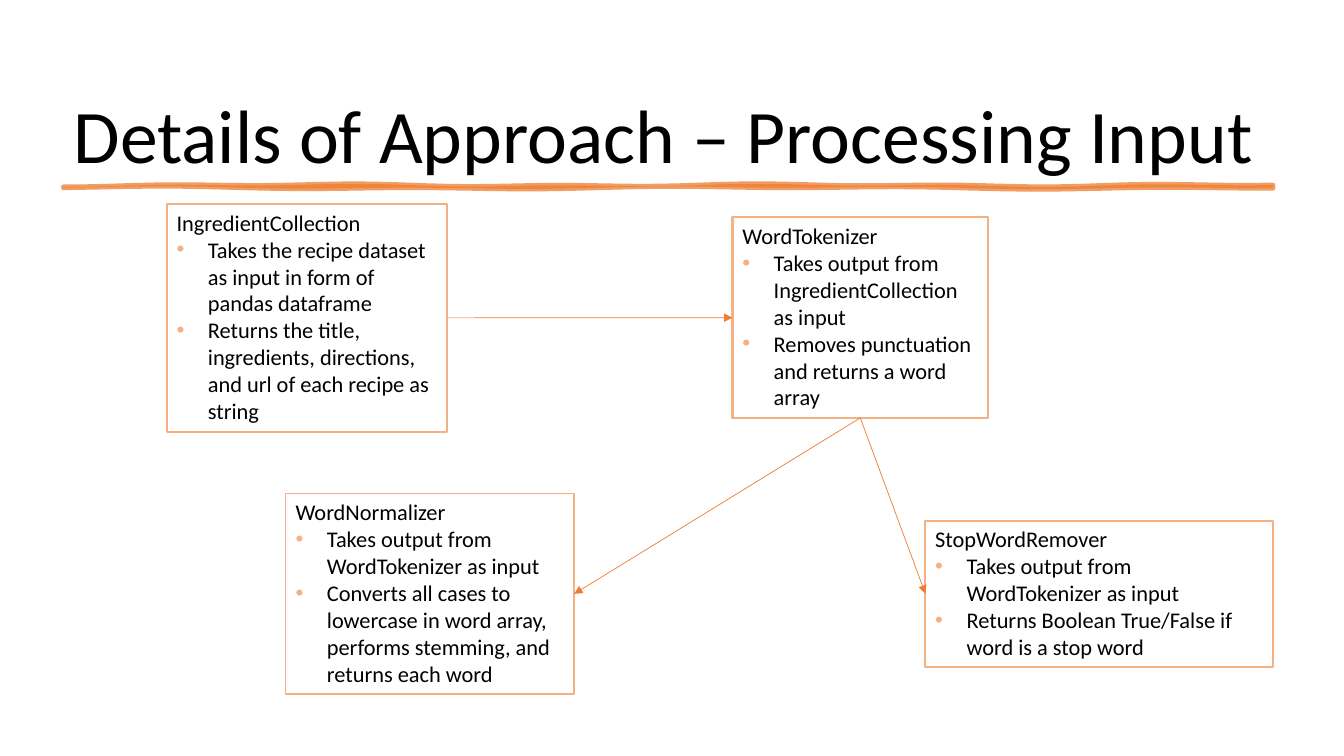
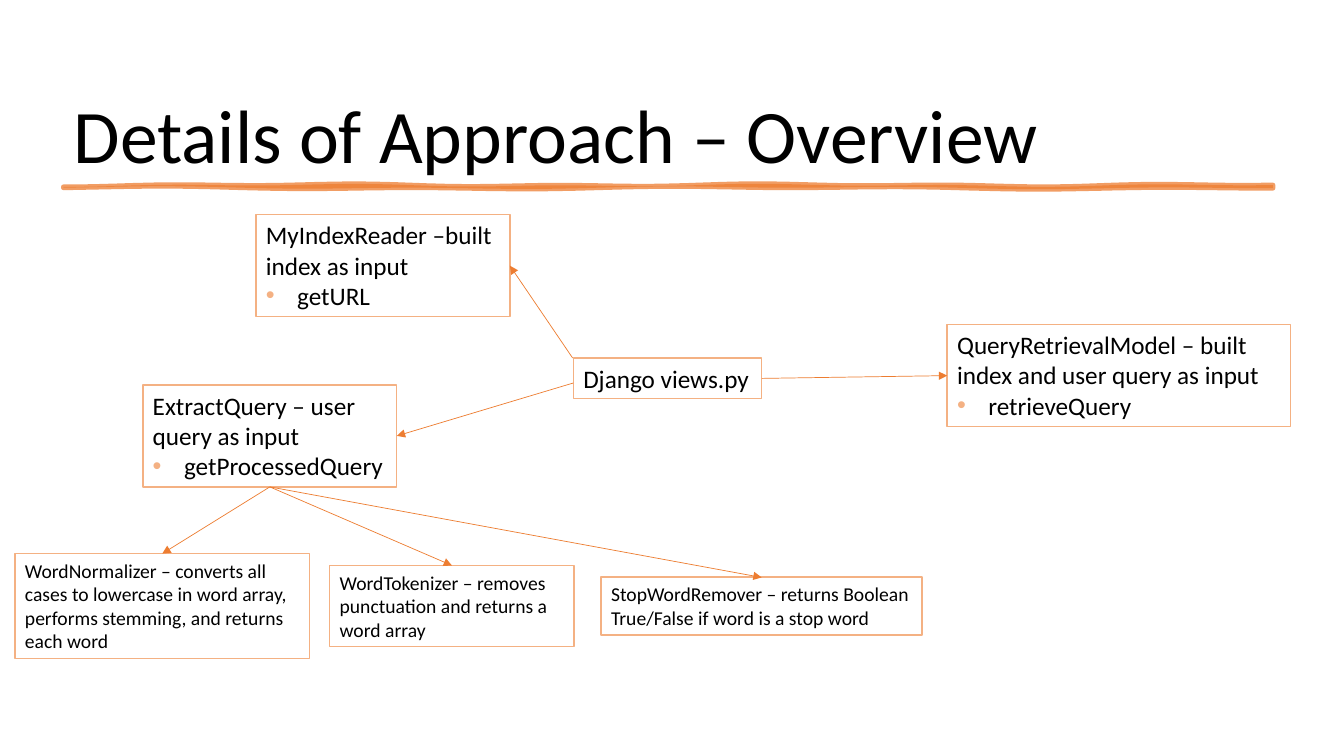
from dataclasses import dataclass
from math import sin

from lxml.etree import SubElement
from pptx import Presentation
from pptx.dml.color import RGBColor
from pptx.enum.shapes import MSO_CONNECTOR as Connector
from pptx.enum.text import MSO_ANCHOR as Anchor, MSO_AUTO_SIZE as AutoSize, PP_ALIGN as Align
from pptx.oxml.ns import qn
from pptx.util import Cm, Pt

TOP, LEFT, BOTTOM, RIGHT = range(4)
TITLE_ONLY = 5


@dataclass(frozen=True)
class Theme:
    font: str = "Calibri"
    text: RGBColor = RGBColor(0, 0, 0)
    accent: RGBColor = RGBColor(0xED, 0x7D, 0x31)
    border: RGBColor = RGBColor(0xF4, 0xB1, 0x83)
    title_size: int = 54
    large: int = 18
    medium: int = 16
    small: int = 14
    thin: float = 1
    thick: float = 1.5
    arrow: float = 0.5
    brush: float = 3.5
    brush_opacity: int = 75


THEME = Theme()


def style_font(paragraph, size):
    paragraph.font.name = THEME.font
    paragraph.font.size = Pt(size)
    paragraph.font.color.rgb = THEME.text


def style_line(line, color, width):
    line.color.rgb = color
    line.width = Pt(width)


def add_title(slide, text):
    title = slide.shapes.title
    title.left, title.top, title.width, title.height = Cm(1.6), Cm(0.66), Cm(30.61), Cm(3.99)
    frame = title.text_frame
    frame.text = text
    frame.word_wrap = True
    frame.auto_size = AutoSize.NONE
    frame.vertical_anchor = Anchor.BOTTOM
    paragraph = frame.paragraphs[0]
    paragraph.alignment = Align.LEFT
    paragraph.line_spacing = 0.9
    paragraph.space_after = Pt(6)
    style_font(paragraph, THEME.title_size)


def add_brush_stroke(slide):
    """Draw the wavy, half-transparent rule under the title."""
    left, width, steps = 1.6, 30.48, 120
    across = [left + width * step / steps for step in range(steps + 1)]
    upper = [(x, 4.67 + 0.04 * sin(0.9 * x) * sin(0.37 * x + 1)) for x in across]
    lower = [(x, 4.73 + 0.04 * sin(0.7 * x + 2) * sin(0.31 * x)) for x in reversed(across)]
    outline = [(Cm(x), Cm(y)) for x, y in upper + lower]
    builder = slide.shapes.build_freeform(*outline[0])
    builder.add_line_segments(outline[1:], close=True)
    stroke = builder.convert_to_shape()
    stroke.shadow.inherit = False
    stroke.fill.solid()
    stroke.fill.fore_color.rgb = THEME.accent
    style_line(stroke.line, THEME.accent, THEME.brush)
    properties = stroke.element.spPr
    for color in list(properties.iter(qn("a:srgbClr"))):
        SubElement(color, qn("a:alpha"), val=str(THEME.brush_opacity * 1000))
    SubElement(properties.find(qn("a:ln")), qn("a:round"))


def add_bullet(paragraph):
    properties = paragraph._p.get_or_add_pPr()
    indent = Cm(0.79)
    properties.set("marL", str(indent))
    properties.set("indent", str(-indent))
    color = SubElement(properties, qn("a:buClr"))
    SubElement(color, qn("a:srgbClr"), val=str(THEME.border))
    SubElement(properties, qn("a:buFont"), typeface="Arial")
    SubElement(properties, qn("a:buChar"), char="•")


def add_box(slide, place, size, heading, bullets=(), border=THEME.thin):
    """Add an outlined box; place is left, top, width and height in cm."""
    box = slide.shapes.add_textbox(*map(Cm, place))
    style_line(box.line, THEME.border, border)
    frame = box.text_frame
    frame.word_wrap = True
    frame.auto_size = AutoSize.SHAPE_TO_FIT_TEXT
    frame.text = "\n".join([heading, *bullets])
    for index, paragraph in enumerate(frame.paragraphs):
        if index:
            add_bullet(paragraph)
        style_font(paragraph, size)
    return box


def add_arrow(slide, target, target_side, source=None, source_side=None, start=(0, 0)):
    """Point at a side of target, from a side of source or from a start in cm."""
    x, y = map(Cm, start)
    arrow = slide.shapes.add_connector(Connector.STRAIGHT, x, y, x, y)
    if source is not None:
        arrow.begin_connect(source, source_side)
    arrow.end_connect(target, target_side)
    style_line(arrow.line, THEME.accent, THEME.arrow)
    properties = arrow.element.spPr
    SubElement(properties.find(qn("a:ln")), qn("a:tailEnd"), type="triangle")
    SubElement(properties, qn("a:effectLst"))


def add_slide(presentation, title):
    slide = presentation.slides.add_slide(presentation.slide_layouts[TITLE_ONLY])
    add_title(slide, title)
    add_brush_stroke(slide)
    return slide


def build_processing_slide(presentation):
    slide = add_slide(presentation, "Details of Approach – Processing Input")
    collection = add_box(
        slide, (4.2, 5.14, 7.06, 5.74), THEME.medium, "IngredientCollection",
        ["Takes the recipe dataset as input in form of pandas dataframe",
         "Returns the title, ingredients, directions, and url of each recipe as string"],
        THEME.thick)
    tokenizer = add_box(
        slide, (18.46, 5.48, 6.44, 5.05), THEME.medium, "WordTokenizer",
        ["Takes output from IngredientCollection as input",
         "Removes punctuation and returns a word array"],
        THEME.thick)
    normalizer = add_box(
        slide, (7.2, 12.44, 7.27, 5.05), THEME.medium, "WordNormalizer",
        ["Takes output from WordTokenizer as input",
         "Converts all cases to lowercase in word array, performs stemming, "
         "and returns each word"])
    remover = add_box(
        slide, (23.32, 13.12, 8.77, 3.68), THEME.medium, "StopWordRemover",
        ["Takes output from WordTokenizer as input",
         "Returns Boolean True/False if word is a stop word"],
        THEME.thick)
    add_arrow(slide, tokenizer, LEFT, collection, RIGHT)
    add_arrow(slide, normalizer, RIGHT, tokenizer, BOTTOM)
    add_arrow(slide, remover, LEFT, tokenizer, BOTTOM)


def build_overview_slide(presentation):
    slide = add_slide(presentation, "Details of Approach – Overview")
    views = add_box(slide, (14.45, 9.02, 4.75, 1.03), THEME.large, "Django views.py")
    reader = add_box(slide, (6.45, 5.41, 6.4, 2.57), THEME.large,
                     "MyIndexReader –built index as input", ["getURL"])
    extractor = add_box(slide, (3.6, 9.7, 6.4, 2.57), THEME.large,
                        "ExtractQuery – user query as input", ["getProcessedQuery"])
    retrieval = add_box(slide, (23.87, 8.18, 8.65, 2.57), THEME.large,
                        "QueryRetrievalModel – built index and user query as input",
                        ["retrieveQuery"])
    add_arrow(slide, retrieval, LEFT, views, RIGHT)
    add_arrow(slide, extractor, RIGHT, start=(14.45, 9.65))
    add_arrow(slide, reader, RIGHT, start=(14.43, 9.02))

    steps = [
        ((8.31, 14.25, 6.16, 2.05), THEME.thin,
         "WordTokenizer – removes punctuation and returns a word array"),
        ((0.38, 13.95, 7.42, 2.64), THEME.thin,
         "WordNormalizer – converts all cases to lowercase in word array, "
         "performs stemming, and returns each word"),
        ((15.15, 14.55, 8.09, 1.45), THEME.thick,
         "StopWordRemover – returns Boolean True/False if word is a stop word"),
    ]
    for place, border, text in steps:
        step = add_box(slide, place, THEME.small, text, border=border)
        add_arrow(slide, step, TOP, extractor, BOTTOM)


def main():
    presentation = Presentation()
    presentation.slide_width, presentation.slide_height = Cm(33.87), Cm(19.05)
    build_processing_slide(presentation)
    build_overview_slide(presentation)
    presentation.save("out.pptx")


if __name__ == "__main__":
    main()
